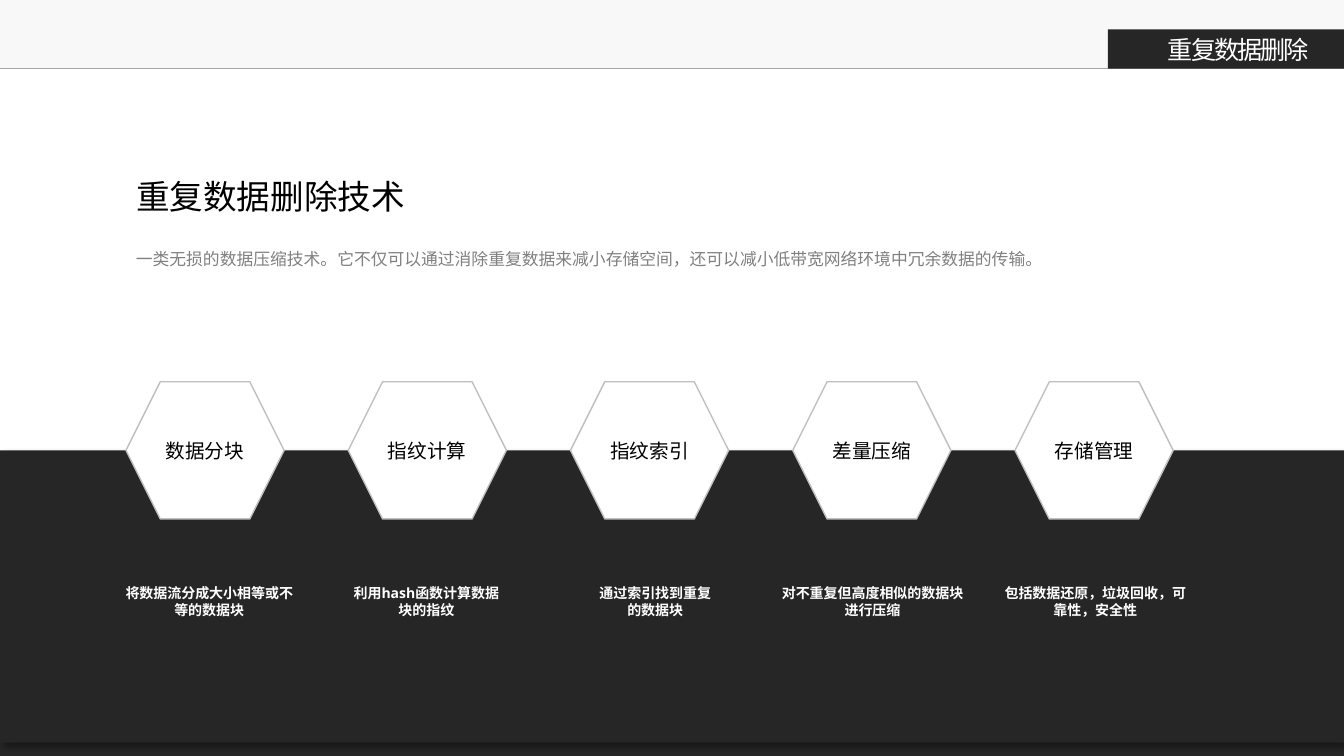
from pptx import Presentation
from pptx.dml.color import RGBColor
from pptx.enum.shapes import MSO_CONNECTOR as Connector, MSO_SHAPE as Preset
from pptx.enum.text import MSO_ANCHOR as Anchor, PP_ALIGN as Align
from pptx.oxml import parse_xml
from pptx.oxml.ns import nsdecls, qn
from pptx.util import Pt

WHITE = RGBColor(0xFF, 0xFF, 0xFF)
BLACK = RGBColor(0, 0, 0)
DARK = RGBColor(0x26, 0x26, 0x26)
BAND = RGBColor(0xF2, 0xF2, 0xF2)
RULE = RGBColor(0xA6, 0xA6, 0xA6)
OUTLINE = RGBColor(0xBF, 0xBF, 0xBF)
GREY = RGBColor(0x80, 0x80, 0x80)

WIDTH, HEIGHT = 960, 540
BODY_FONT = "Open Sans"
STEP_LEFT, STEP_TOP, STEP_PITCH = 90, 272.7, 158.76
STEP_WIDTH, STEP_HEIGHT = 113, 98

STEPS = [
    ("数据分块", "将数据流分成大小相等或不等的数据块", 79.2, 140.4),
    ("指纹计算", "利用hash函数计算数据块的指纹", 241.2, 126.7),
    ("指纹索引", "通过索引找到重复的数据块", 420.5, 95),
    ("差量压缩", "对不重复但高度相似的数据块进行压缩", 549.4, 147.6),
    ("存储管理", "包括数据还原，垃圾回收，可靠性，安全性", 708.5, 147.6),
]


def write(shape, text, size, color, font=BODY_FONT, align=Align.LEFT, bold=False):
    frame = shape.text_frame
    frame.text = text
    frame.word_wrap = True
    frame.vertical_anchor = Anchor.MIDDLE
    paragraph = frame.paragraphs[0]
    paragraph.alignment = align
    run = paragraph.runs[0]
    run.font.size = Pt(size)
    run.font.bold = bold
    run.font.color.rgb = color
    run.font.name = font
    east_asian = parse_xml(f'<a:ea {nsdecls("a")} typeface="{font}"/>')
    run.font._element.find(qn("a:latin")).addnext(east_asian)
    return paragraph


def add_block(slide, preset, left, top, width, height, fill, outline=None):
    block = slide.shapes.add_shape(preset, Pt(left), Pt(top), Pt(width), Pt(height))
    block.shadow.inherit = False
    block.fill.solid()
    block.fill.fore_color.rgb = fill
    if outline is None:
        block.line.fill.background()
    else:
        block.line.color.rgb = outline
        block.line.width = Pt(1)
    return block


def add_label(slide, left, top, width, height):
    return slide.shapes.add_textbox(Pt(left), Pt(top), Pt(width), Pt(height))


def add_header(slide):
    band = add_block(slide, Preset.RECTANGLE, 0, 0, WIDTH, 49, BAND)
    tint = band.fill._xPr.find(qn("a:solidFill"))[0]
    tint.append(parse_xml(f'<a:alpha {nsdecls("a")} val="50000"/>'))
    rule = slide.shapes.add_connector(Connector.STRAIGHT, 0, Pt(49), Pt(WIDTH), Pt(49))
    rule.line.color.rgb = RULE
    rule.line.width = Pt(0.5)
    rule._element.spPr.append(parse_xml(f'<a:effectLst {nsdecls("a")}/>'))
    add_block(slide, Preset.RECTANGLE, 791.3, 21, 168.7, 28, DARK)
    section = add_label(slide, 823.7, 20.6, 121.7, 29)
    paragraph = write(section, "重复数据删除", 18, WHITE, "Noto Sans CJK SC", Align.CENTER)
    paragraph.runs[0].font._element.set("spc", "-150")


def add_panel(slide):
    add_block(slide, Preset.RECTANGLE, 0, 334, WIDTH, 206, DARK)
    panel = add_block(slide, Preset.RECTANGLE, 0, 321.8, WIDTH, 208.8, DARK)
    effects = panel._element.spPr.find(qn("a:effectLst"))
    effects.append(parse_xml(
        f'<a:outerShdw {nsdecls("a")} blurRad="{Pt(4)}" dist="{Pt(3)}" dir="2700000">'
        '<a:srgbClr val="000000"><a:alpha val="40000"/></a:srgbClr></a:outerShdw>'))


def add_intro(slide):
    title = slide.shapes.title
    title.left, title.top, title.width, title.height = Pt(90), Pt(121.7), Pt(354), Pt(36)
    write(title, "重复数据删除技术", 24, BLACK, "Noto Sans CJK JP")
    summary = add_label(slide, 90, 174.2, 666.7, 21.6)
    write(summary, "一类无损的数据压缩技术。它不仅可以通过消除重复数据来减小存储空间，"
          "还可以减小低带宽网络环境中冗余数据的传输。", 12, GREY, align=Align.JUSTIFY)


def add_step(slide, index, name, detail, detail_left, detail_width):
    hexagon = add_block(slide, Preset.HEXAGON, STEP_LEFT + index * STEP_PITCH, STEP_TOP,
                        STEP_WIDTH, STEP_HEIGHT, WHITE, OUTLINE)
    write(hexagon, name, 14, BLACK, align=Align.CENTER)
    caption = add_label(slide, detail_left, 414, detail_width, 31.7)
    paragraph = write(caption, detail, 10, WHITE, align=Align.CENTER, bold=True)
    paragraph.line_spacing = Pt(12.2)


def main():
    deck = Presentation()
    deck.slide_width, deck.slide_height = Pt(WIDTH), Pt(HEIGHT)
    slide = deck.slides.add_slide(deck.slide_layouts[5])
    add_header(slide)
    add_panel(slide)
    add_intro(slide)
    for index, step in enumerate(STEPS):
        add_step(slide, index, *step)
    deck.save("out.pptx")


if __name__ == "__main__":
    main()
